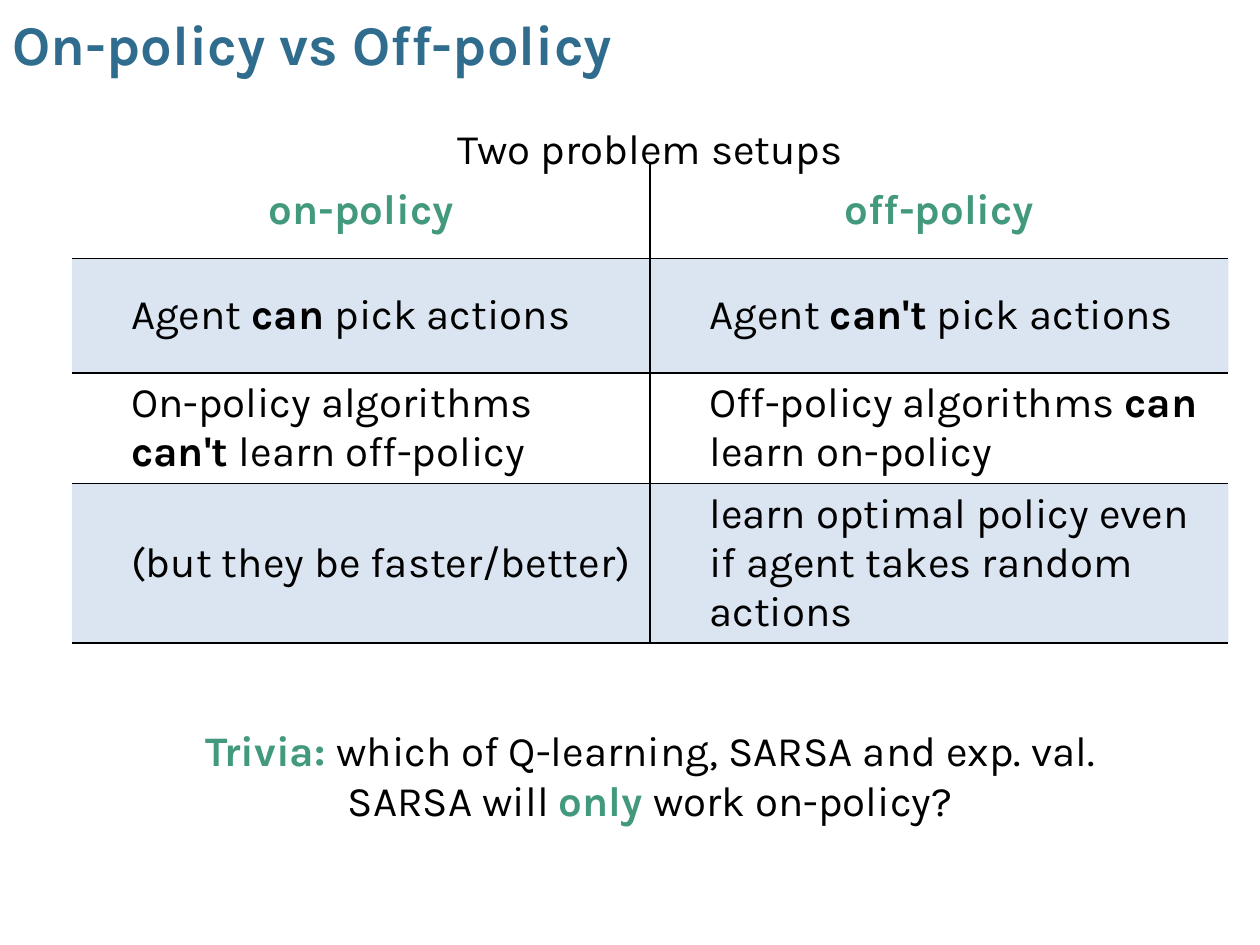
from lxml import etree
from pptx import Presentation
from pptx.dml.color import RGBColor
from pptx.enum.text import MSO_ANCHOR, PP_ALIGN
from pptx.oxml.ns import qn
from pptx.util import Inches, Pt

LEFT, CENTER = PP_ALIGN.LEFT, PP_ALIGN.CENTER
MIDDLE = MSO_ANCHOR.MIDDLE

BLACK, BLUE, GREEN, BAND = "000000", "306C8D", "42997E", "4F81BD"


def rgb(color):
    return RGBColor.from_string(color)


class Deck:
    font = "Karla"
    size = 24

    def __init__(self, prs):
        self.s = prs.slides.add_slide(prs.slide_layouts[5])

    def add_runs(self, p, text, align=LEFT, size=size, color=BLACK, accent=BLACK):
        """Add text; the parts between asterisks are bold, in the accent colour."""
        p.alignment = align
        for i, part in enumerate(text.split("*")):
            if not part:
                continue
            r = p.add_run()
            r.text = part
            r.font.name, r.font.size = self.font, Pt(size)
            r.font.bold = i % 2 == 1
            r.font.color.rgb = rgb(accent if i % 2 else color)

    def title(self, text, x, y, w, h):
        sp = self.s.shapes.title
        sp.left, sp.top, sp.width, sp.height = map(Inches, (x, y, w, h))
        sp.text_frame.vertical_anchor = MIDDLE
        self.add_runs(sp.text_frame.paragraphs[0], text, size=32, accent=BLUE)

    def text(self, text, x, y, w, h):
        sp = self.s.shapes.add_textbox(*map(Inches, (x, y, w, h)))
        tf = sp.text_frame
        tf.word_wrap = True
        self.add_runs(tf.paragraphs[0], text, CENTER, accent=GREEN)

    def borders(self, cell, visible):
        tcPr = cell._tc.get_or_add_tcPr()
        for side in "LRTB":
            ln = etree.SubElement(tcPr, qn(f"a:ln{side}"), w=str(Pt(1)))
            if side in visible:
                fill = etree.SubElement(ln, qn("a:solidFill"))
                etree.SubElement(fill, qn("a:srgbClr"), val=BLACK)
            else:
                etree.SubElement(ln, qn("a:noFill"))

    def shade(self, cell, color, alpha):
        cell.fill.solid()
        cell.fill.fore_color.rgb = rgb(color)
        clr = cell._tc.tcPr.find(qn("a:solidFill")).find(qn("a:srgbClr"))
        etree.SubElement(clr, qn("a:alpha"), val=str(alpha * 1000))

    def table(self, rows, x, y, col_w, heights):
        cols = len(rows[0])
        table = self.s.shapes.add_table(
            len(rows), cols, Inches(x), Inches(y),
            Inches(col_w * cols), Inches(sum(heights))).table
        table.first_row = table.horz_banding = False
        for column in table.columns:
            column.width = Inches(col_w)
        for i, (row, height) in enumerate(zip(rows, heights)):
            table.rows[i].height = Inches(height)
            for j, text in enumerate(row):
                cell = table.cell(i, j)
                cell.vertical_anchor = MIDDLE
                # Rules between the columns and below every row
                self.borders(cell, "B" + ("T" if i else "") + ("L" if j else "R"))
                if i % 2:
                    self.shade(cell, BAND, 20)
                else:
                    cell.fill.background()
                p = cell.text_frame.paragraphs[0]
                if i:
                    p._p.get_or_add_pPr().set("marL", str(Inches(0.37)))
                    self.add_runs(p, text)
                else:
                    self.add_runs(p, text, CENTER, accent=GREEN)


def main():
    prs = Presentation()
    prs.slide_width, prs.slide_height = Inches(10), Inches(7.5)
    deck = Deck(prs)

    deck.title("*On-policy vs Off-policy*", 0, 0, 10, 0.68)

    # Comparison of the two setups
    deck.table([
        ("*on-policy*", "*off-policy*"),
        ("Agent *can* pick actions", "Agent *can't* pick actions"),
        ("On-policy algorithms *can't *learn off-policy",
         "Off-policy algorithms *can *learn on-policy"),
        ("(but they be faster/better)",
         "learn optimal policy even if agent takes random actions"),
    ], 0.57, 1.29, 4.59, (0.76, 0.91, 0.86, 0.86))

    # Heading above the table and question below it
    deck.text("Two problem setups", 2.66, 0.92, 5, 0.5)
    deck.text("*Trivia: *which of Q-learning, SARSA and exp. val. SARSA will "
              "*only *work on-policy?", 1.3, 5.7, 7.72, 0.91)

    prs.save("out.pptx")


if __name__ == "__main__":
    main()
